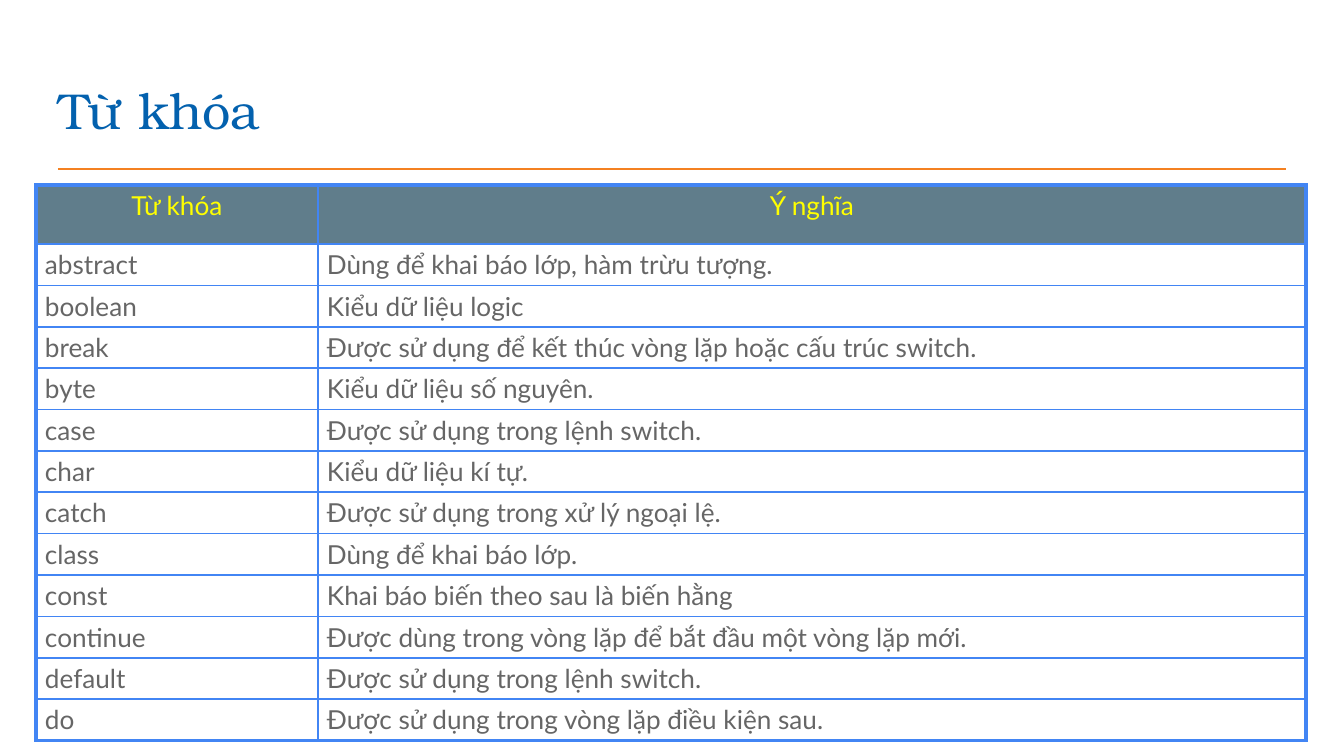
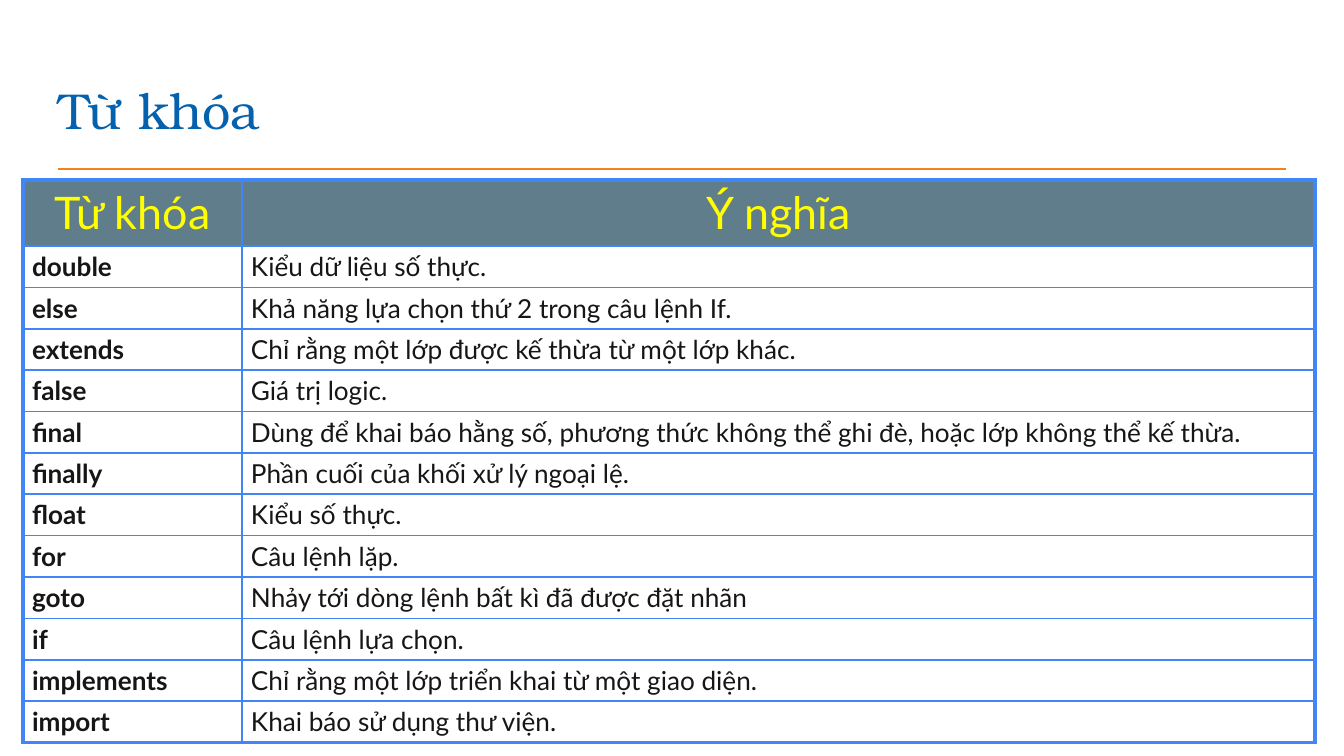
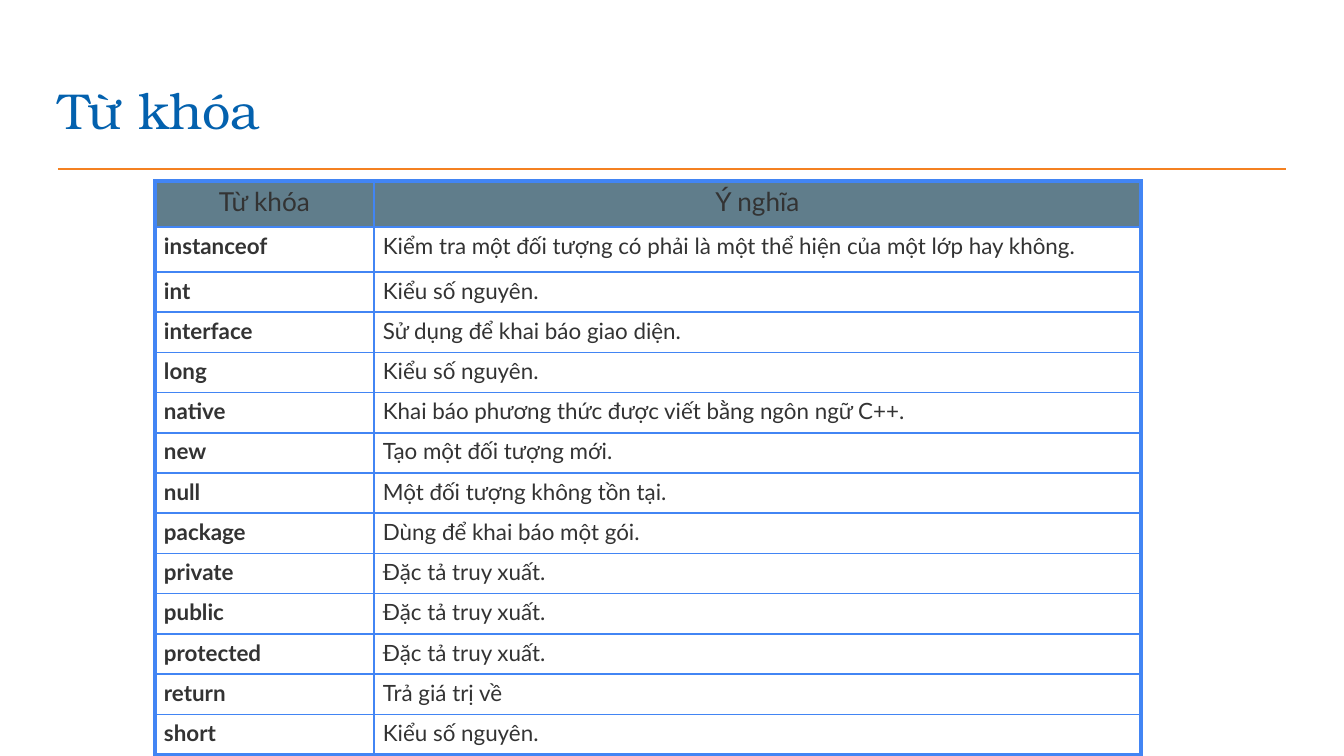
from dataclasses import dataclass

from lxml import etree
from pptx import Presentation
from pptx.dml.color import RGBColor
from pptx.enum.shapes import MSO_CONNECTOR
from pptx.enum.text import MSO_ANCHOR, MSO_AUTO_SIZE, PP_ALIGN
from pptx.oxml.ns import qn
from pptx.util import Emu, Pt

STRAIGHT = MSO_CONNECTOR.STRAIGHT
TOP = MSO_ANCHOR.TOP
NO_FIT = MSO_AUTO_SIZE.NONE
LEFT, CENTER = PP_ALIGN.LEFT, PP_ALIGN.CENTER


@dataclass(frozen=True)
class Theme:
    title_font: str = "TeX Gyre Bonum"
    table_font: str = "Lato"
    title_size: float = 27
    rule_width: float = 1.5
    outer_border: float = 2.25
    inner_border: float = 1
    title: str = "0361AE"
    rule: str = "F48121"
    border: str = "4285F4"
    header_fill: str = "607D8B"
    yellow: str = "FFFF00"
    gray: str = "666666"
    black: str = "161616"
    charcoal: str = "333333"


theme = Theme()


def px(count):
    return Emu(round(count * 914400 / 134.4))


def add_run(para, text, font, size, color, bold=False):
    span = para.add_run()
    span.text = text
    span.font.name = font
    span.font.size = Pt(size)
    span.font.bold = bold
    span.font.color.rgb = RGBColor.from_string(color)


# Keyword tables: the rows after top_rows share body_height equally
heading = ("Từ khóa", "Ý nghĩa")
pages = [
    dict(
        left=36, top=185, columns=(282, 988), top_rows=[59], body_height=497,
        header_size=14, header_color=theme.yellow,
        body_size=14, body_color=theme.gray, bold_keyword=False,
        keywords=[
            ("abstract", "Dùng để khai báo lớp, hàm trừu tượng."),
            ("boolean", "Kiểu dữ liệu logic"),
            ("break", "Được sử dụng để kết thúc vòng lặp hoặc cấu trúc switch."),
            ("byte", "Kiểu dữ liệu số nguyên."),
            ("case", "Được sử dụng trong lệnh switch."),
            ("char", "Kiểu dữ liệu kí tự."),
            ("catch", "Được sử dụng trong xử lý ngoại lệ."),
            ("class", "Dùng để khai báo lớp."),
            ("const", "Khai báo biến theo sau là biến hằng"),
            ("continue", "Được dùng trong vòng lặp để bắt đầu một vòng lặp mới."),
            ("default", "Được sử dụng trong lệnh switch."),
            ("do", "Được sử dụng trong vòng lặp điều kiện sau."),
        ],
    ),
    dict(
        left=23, top=180, columns=(219, 1073), top_rows=[66], body_height=497,
        header_size=24, header_color=theme.yellow,
        body_size=14, body_color=theme.black, bold_keyword=True,
        keywords=[
            ("double", "Kiểu dữ liệu số thực."),
            ("else", "Khả năng lựa chọn thứ 2 trong câu lệnh If."),
            ("extends", "Chỉ rằng một lớp được kế thừa từ một lớp khác."),
            ("false", "Giá trị logic."),
            ("final", "Dùng để khai báo hằng số, phương thức không thể ghi đè, "
                      "hoặc lớp không thể kế thừa."),
            ("finally", "Phần cuối của khối xử lý ngoại lệ."),
            ("float", "Kiểu số thực."),
            ("for", "Câu lệnh lặp."),
            ("goto", "Nhảy tới dòng lệnh bất kì đã được đặt nhãn"),
            ("if", "Câu lệnh lựa chọn."),
            ("implements", "Chỉ rằng một lớp triển khai từ một giao diện."),
            ("import", "Khai báo sử dụng thư viện."),
        ],
    ),
    dict(
        left=155, top=181, columns=(219, 767), top_rows=[46, 45], body_height=483,
        header_size=14, header_color=theme.charcoal,
        body_size=12, body_color=theme.charcoal, bold_keyword=True,
        keywords=[
            ("instanceof", "Kiểm tra một đối tượng có phải là một thể hiện "
                           "của một lớp hay không."),
            ("int", "Kiểu số nguyên."),
            ("interface", "Sử dụng để khai báo giao diện."),
            ("long", "Kiểu số nguyên."),
            ("native", "Khai báo phương thức được viết bằng ngôn ngữ C++."),
            ("new", "Tạo một đối tượng mới."),
            ("null", "Một đối tượng không tồn tại."),
            ("package", "Dùng để khai báo một gói."),
            ("private", "Đặc tả truy xuất."),
            ("public", "Đặc tả truy xuất."),
            ("protected", "Đặc tả truy xuất."),
            ("return", "Trả giá trị về"),
            ("short", "Kiểu số nguyên."),
        ],
    ),
]

deck = Presentation()
deck.slide_width, deck.slide_height = px(1344), px(756)
layout = deck.slide_layouts[5]

for page in pages:
    slide = deck.slides.add_slide(layout)

    # Title
    title = slide.shapes.title
    title.left, title.top, title.width, title.height = px(46), px(66), px(1252), px(84)
    box = title.text_frame
    box.auto_size = NO_FIT
    box.word_wrap = True
    box.vertical_anchor = TOP
    box.margin_left = box.margin_right = box.margin_top = box.margin_bottom = px(13)
    para = box.paragraphs[0]
    para.alignment = LEFT
    add_run(para, heading[0], theme.title_font, theme.title_size, theme.title)

    # Table grid
    rows = [heading] + page["keywords"]
    table_height = sum(page["top_rows"]) + page["body_height"]
    table = slide.shapes.add_table(
        len(rows), 2, px(page["left"]), px(page["top"]),
        px(sum(page["columns"])), px(table_height)).table
    table.first_row = table.horz_banding = False
    for column, width in zip(table.columns, page["columns"]):
        column.width = px(width)
    shared_rows = len(rows) - len(page["top_rows"])
    heights = page["top_rows"] + [page["body_height"] / shared_rows] * shared_rows
    for row, height in zip(table.rows, heights):
        row.height = px(height)

    # Cells
    for row_index, texts in enumerate(rows):
        is_header = row_index == 0
        part = "header" if is_header else "body"
        for column_index, text in enumerate(texts):
            cell = table.cell(row_index, column_index)
            cell.margin_left = cell.margin_right = px(9)
            cell.margin_top = cell.margin_bottom = px(5)
            cell.vertical_anchor = TOP
            para = cell.text_frame.paragraphs[0]
            para.alignment = CENTER if is_header else LEFT
            bold = page["bold_keyword"] and not is_header and column_index == 0
            add_run(para, text, theme.table_font, page[part + "_size"],
                    page[part + "_color"], bold)

            # Heavy frame outside, thin lines inside
            outer_sides = {"lnL": column_index == 0, "lnR": column_index == 1,
                           "lnT": is_header, "lnB": row_index == len(rows) - 1}
            properties = cell._tc.get_or_add_tcPr()
            for side, is_outer in outer_sides.items():
                width = theme.outer_border if is_outer else theme.inner_border
                border = etree.SubElement(properties, qn("a:" + side), w=str(Pt(width)))
                fill = etree.SubElement(border, qn("a:solidFill"))
                etree.SubElement(fill, qn("a:srgbClr"), val=theme.border)
            if is_header:
                cell.fill.solid()
                cell.fill.fore_color.rgb = RGBColor.from_string(theme.header_fill)
            else:
                cell.fill.background()

# Rule under the title, moved to the layout that all slides share
rule = slide.shapes.add_connector(STRAIGHT, px(58), px(169), px(1286), px(169))
rule.line.color.rgb = RGBColor.from_string(theme.rule)
rule.line.width = Pt(theme.rule_width)
etree.SubElement(rule.element.spPr, qn("a:effectLst"))
layout.shapes.element.append(rule.element)

deck.save("out.pptx")
